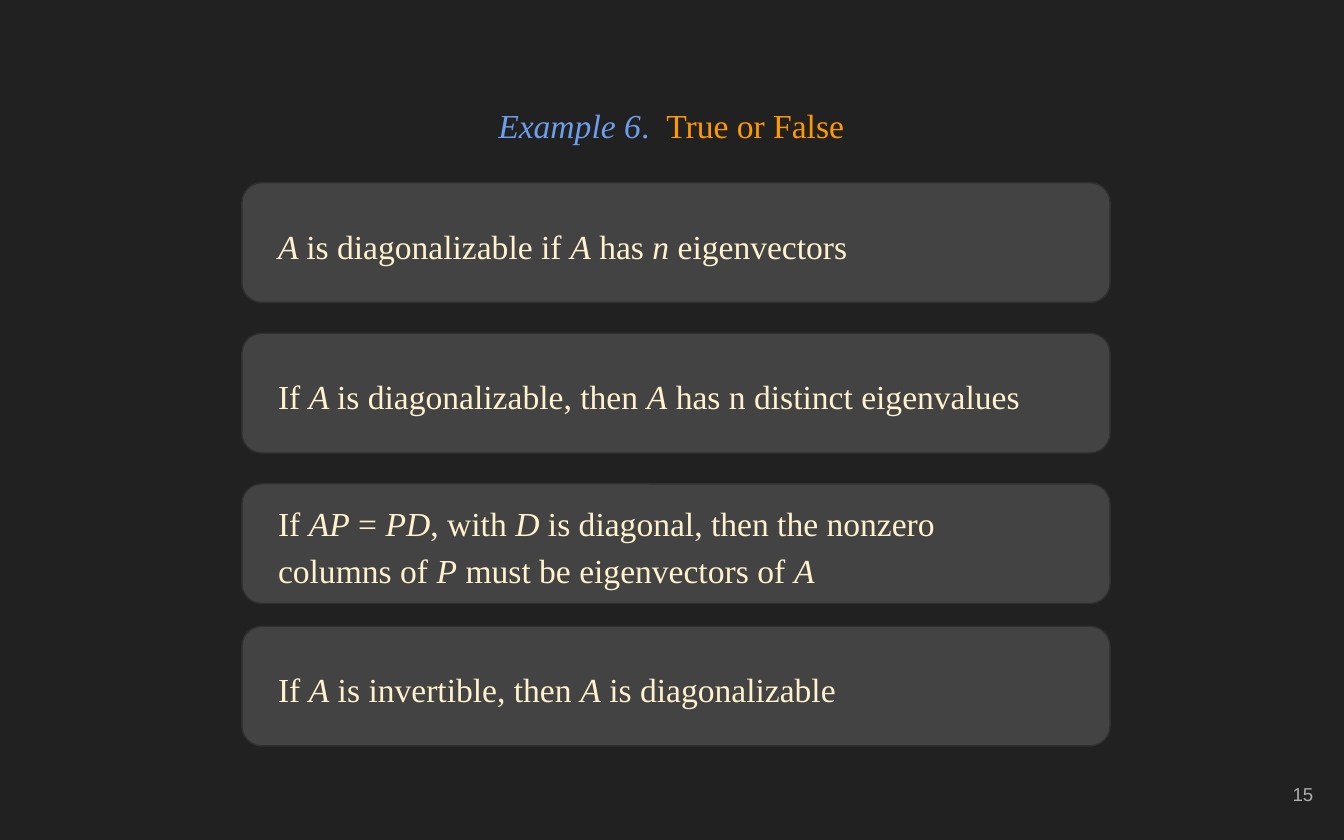
from dataclasses import dataclass

from pptx import Presentation
from pptx.dml.color import RGBColor
from pptx.enum.shapes import MSO_SHAPE as Shape
from pptx.enum.text import MSO_ANCHOR as Anchor, MSO_AUTO_SIZE as AutoSize, PP_ALIGN as Align
from pptx.slide import Slide
from pptx.text.text import Font, TextFrame
from pptx.util import Inches, Pt

COLORS = {
    "background": "212121",
    "card": "434343",
    "border": "303030",
    "statement": "FFF2CC",
    "example": "6D9EEB",
    "heading": "FF9900",
    "number": "ADADAD",
}
SERIF = "Times New Roman"
CARD_LEFT, CARD_WIDTH, CARD_HEIGHT = 1.8, 6.46, 0.89
TEXT_LEFT, TEXT_WIDTH = 1.97, 5.99


@dataclass
class Statement:
    top: float
    text: str  # asterisks enclose italic parts
    text_height: float = 0.54


STATEMENTS = [
    Statement(1.36, "*A *is diagonalizable if *A* has *n* eigenvectors"),
    Statement(2.48, "If *A *is diagonalizable, then *A* has n distinct eigenvalues"),
    Statement(3.6, "If *AP* = *PD*, with *D *is diagonal, then the nonzero columns "
                   "of *P* must be eigenvectors of *A*", CARD_HEIGHT),
    Statement(4.66, "If *A* is invertible, then *A* is diagonalizable"),
]


def color(name: str) -> RGBColor:
    return RGBColor.from_string(COLORS[name])


def style_font(font: Font, name: str, size: float, color_name: str) -> None:
    font.name = name
    font.size = Pt(size)
    font.color.rgb = color(color_name)


def format_frame(frame: TextFrame, anchor: Anchor) -> None:
    frame.word_wrap = True
    frame.auto_size = AutoSize.NONE
    frame.vertical_anchor = anchor
    frame.margin_left = frame.margin_right = Inches(0.1)
    frame.margin_top = frame.margin_bottom = Inches(0.1)


def add_title(slide: Slide) -> None:
    title = slide.shapes.title
    title.left, title.top = Inches(0.48), Inches(0.64)
    title.width, title.height = Inches(9.03), Inches(0.58)
    format_frame(title.text_frame, Anchor.MIDDLE)
    heading = title.text_frame.paragraphs[0]
    heading.alignment = Align.CENTER
    heading.space_after = Pt(16)
    for text, color_name, italic in [
        ("Example 6", "example", True),
        (".  ", "example", False),
        ("True or False", "heading", False),
    ]:
        run = heading.add_run()
        run.text = text
        style_font(run.font, SERIF, 18, color_name)
        run.font.italic = italic


def add_statement(slide: Slide, statement: Statement) -> None:
    group = slide.shapes.add_group_shape()
    card = group.shapes.add_shape(
        Shape.ROUNDED_RECTANGLE, Inches(CARD_LEFT), Inches(statement.top),
        Inches(CARD_WIDTH), Inches(CARD_HEIGHT))
    card.shadow.inherit = False
    card.fill.solid()
    card.fill.fore_color.rgb = color("card")
    card.line.color.rgb = color("border")
    card.line.width = Pt(0.75)

    # The text box is centred vertically on its card
    text_top = statement.top + (CARD_HEIGHT - statement.text_height) / 2
    label = group.shapes.add_textbox(
        Inches(TEXT_LEFT), Inches(text_top),
        Inches(TEXT_WIDTH), Inches(statement.text_height))
    format_frame(label.text_frame, Anchor.TOP)
    sentence = label.text_frame.paragraphs[0]
    sentence.line_spacing = 1.15
    sentence.space_after = Pt(16)
    style_font(sentence.font, SERIF, 18, "statement")
    for index, part in enumerate(statement.text.split("*")):
        if part:
            run = sentence.add_run()
            run.text = part
            run.font.italic = index % 2 == 1


def add_page_number(slide: Slide, number: int) -> None:
    box = slide.shapes.add_textbox(Inches(9.27), Inches(5.67), Inches(0.6), Inches(0.48))
    format_frame(box.text_frame, Anchor.MIDDLE)
    page = box.text_frame.paragraphs[0]
    page.text = str(number)
    page.alignment = Align.RIGHT
    style_font(page.font, "Arial", 10, "number")


def main() -> None:
    deck = Presentation()
    deck.slide_width, deck.slide_height = Inches(10), Inches(6.25)
    slide = deck.slides.add_slide(deck.slide_layouts[5])
    slide.background.fill.solid()
    slide.background.fill.fore_color.rgb = color("background")

    add_title(slide)
    for statement in STATEMENTS:
        add_statement(slide, statement)
    add_page_number(slide, 15)
    deck.save("out.pptx")


if __name__ == "__main__":
    main()
